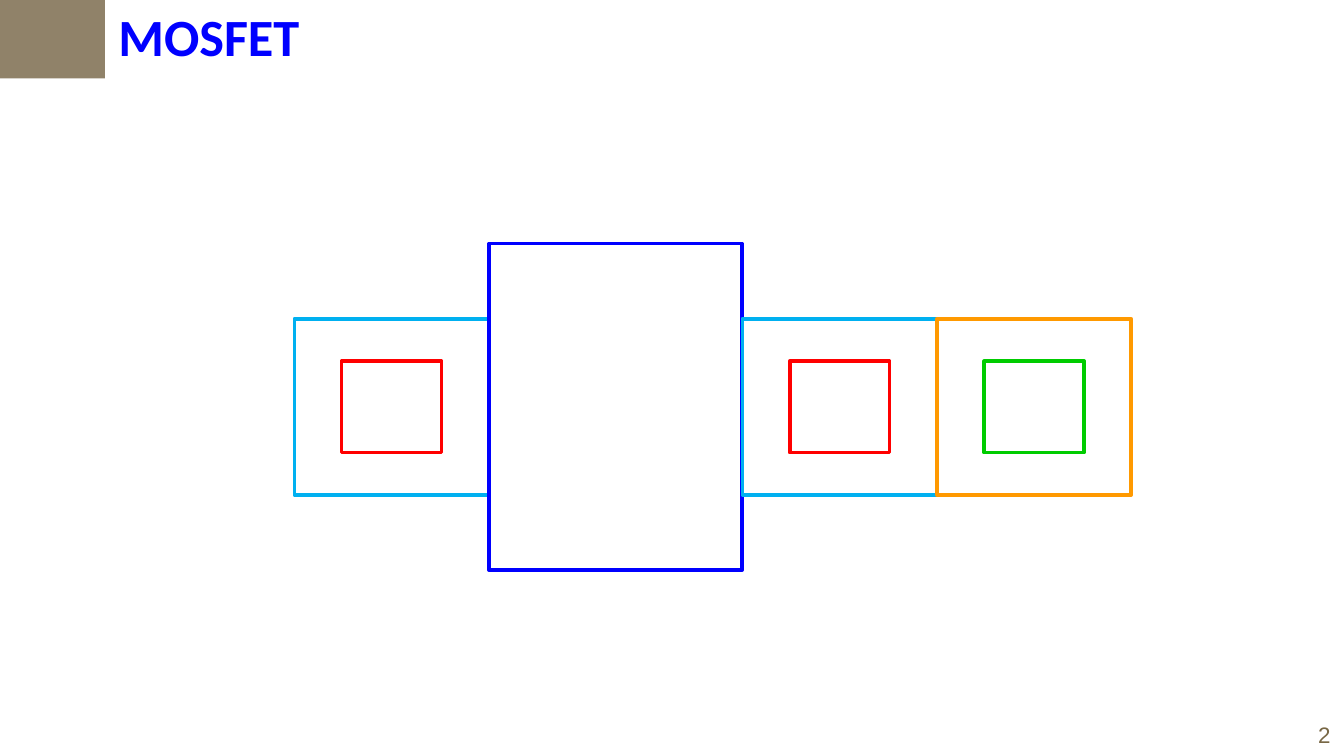
import pptx
import pptx.dml.color
import pptx.enum.shapes
import pptx.enum.text
import pptx.util

Pt = pptx.util.Pt

COLORS = {
    "accent": "908269", "title": "0000FF", "number": "786745",
    "diffusion": "00B0F0", "contact": "FF0000", "gate": "0000FF",
    "body": "FF9900", "body contact": "00CC00",
}
TITLE = "MOSFET"
PAGE_NUMBER = "2"

# Regions from left to right: outline, width, height, contact inside (if any)
REGIONS = [
    ("diffusion", 104, 94.5, "contact"),
    ("gate", 135.5, 175, None),
    ("diffusion", 104, 94.5, "contact"),
    ("body", 104, 94.5, "body contact"),
]
CONTACT_SIZE = (53.5, 49)
DEVICE_LEFT, DEVICE_MIDDLE = 157.75, 218
GAP = 0.25
OUTLINE = 2


def rgb(name):
    return pptx.dml.color.RGBColor.from_string(COLORS[name])


def add_rectangle(slide, left, top, width, height):
    rectangle = slide.shapes.add_shape(
        pptx.enum.shapes.MSO_SHAPE.RECTANGLE,
        Pt(left), Pt(top), Pt(width), Pt(height))
    rectangle.shadow.inherit = False
    return rectangle


def add_outline(slide, name, center, width, height):
    """Draw an unfilled rectangle centred on the device's middle line."""
    outline = add_rectangle(
        slide, center - width / 2, DEVICE_MIDDLE - height / 2, width, height)
    outline.fill.background()
    outline.line.color.rgb = rgb(name)
    outline.line.width = Pt(OUTLINE)


def write(shape, text, font_name, size, color, bold=False):
    frame = shape.text_frame
    frame.text = text
    frame.word_wrap = False
    paragraph = frame.paragraphs[0]
    paragraph.alignment = pptx.enum.text.PP_ALIGN.LEFT
    paragraph.font.name = font_name
    paragraph.font.size = Pt(size)
    paragraph.font.bold = bold
    paragraph.font.color.rgb = rgb(color)


def main():
    deck = pptx.Presentation()
    deck.slide_width, deck.slide_height = Pt(720), Pt(405)
    slide = deck.slides.add_slide(deck.slide_layouts[5])

    page_number = slide.shapes.add_textbox(Pt(699), Pt(383), Pt(21), Pt(21.6))
    write(page_number, PAGE_NUMBER, "Arial", 12, "number")

    accent = add_rectangle(slide, 0, -1.25, 56.25, 43.25)
    accent.fill.solid()
    accent.fill.fore_color.rgb = rgb("accent")
    accent.line.fill.background()

    title = slide.shapes.title
    title.left, title.top = Pt(56.25), Pt(-1.25)
    title.width, title.height = Pt(128), Pt(41)
    write(title, TITLE, "Calibri", 28, "title", bold=True)

    left = DEVICE_LEFT
    for region, width, height, contact in REGIONS:
        center = left + width / 2
        add_outline(slide, region, center, width, height)
        if contact:
            add_outline(slide, contact, center, *CONTACT_SIZE)
        left += width + GAP

    deck.save("out.pptx")


if __name__ == "__main__":
    main()
